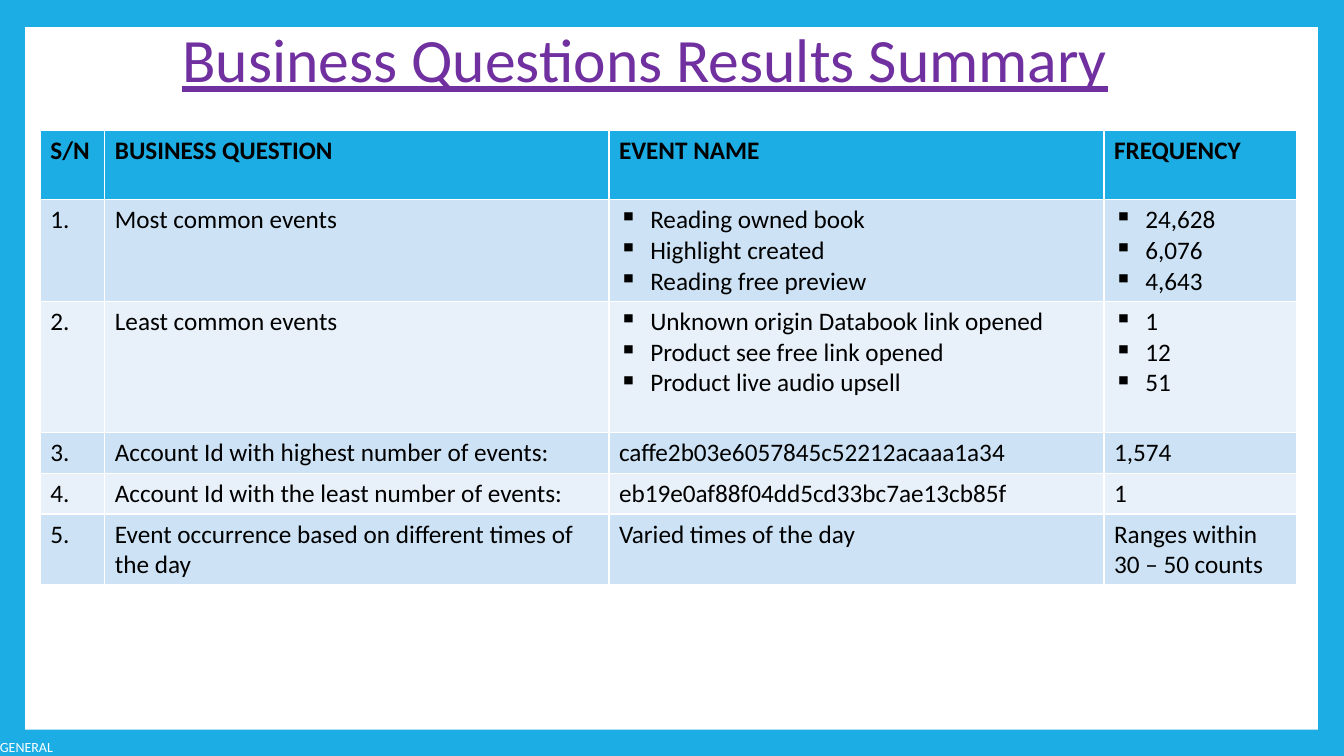
"""Build the business questions results summary slide."""
import pptx
import pptx.dml.color
import pptx.enum.text
import pptx.oxml.ns
import pptx.util
from lxml import etree

Inches, Pt = pptx.util.Inches, pptx.util.Pt
RGBColor = pptx.dml.color.RGBColor

BLUE = RGBColor(0x1C, 0xAD, 0xE4)
BAND_DARK = RGBColor(0xCD, 0xE3, 0xF5)
BAND_LIGHT = RGBColor(0xE8, 0xF1, 0xFA)
PURPLE = RGBColor(0x70, 0x30, 0xA0)
WHITE = RGBColor(0xFF, 0xFF, 0xFF)
BLACK = RGBColor(0, 0, 0)

COLUMN_WIDTHS = [0.64, 5, 4.91, 1.91]
ROW_HEIGHTS = [0.69, 1.01, 1.3, 0.41, 0.4, 0.7]
ROWS = [
    ["S/N", "BUSINESS QUESTION", "EVENT NAME", "FREQUENCY"],
    ["1.", "Most common events",
     ["Reading owned book", "Highlight created", "Reading free preview"],
     ["24,628", "6,076", "4,643"]],
    ["2.", "Least common events",
     ["Unknown origin Databook link opened", "Product see free link opened",
      "Product live audio upsell"],
     ["1", "12", "51"]],
    ["3.", "Account Id with highest number of events:",
     "caffe2b03e6057845c52212acaaa1a34", "1,574"],
    ["4.", "Account Id with the least number of events:",
     "eb19e0af88f04dd5cd33bc7ae13cb85f", "1"],
    ["5.", "Event occurrence based on different times of the day",
     "Varied times of the day", "Ranges within 30 – 50 counts"],
]


def add_run(p, text, size, color, bold=False, underline=False):
    """Add a formatted run to a paragraph."""
    r = p.add_run()
    r.text = text
    r.font.name = "Calibri"
    r.font.size = Pt(size)
    r.font.color.rgb = color
    r.font.bold = bold
    r.font.underline = underline


def set_bullet(p):
    """Give a paragraph a square bullet with a hanging indent."""
    pPr = p._p.get_or_add_pPr()
    pPr.set("marL", str(Inches(0.31)))
    pPr.set("indent", str(-Inches(0.31)))
    bullet = etree.SubElement(pPr, pptx.oxml.ns.qn("a:buChar"))
    bullet.set("char", "▪")


def add_panel(s):
    """Add the white panel inside the blue frame."""
    sp = s.shapes.add_shape(pptx.enum.shapes.MSO_SHAPE.RECTANGLE, Inches(0.25),
                            Inches(0.27), Inches(12.82), Inches(6.97))
    sp.shadow.inherit = False
    sp.fill.solid()
    sp.fill.fore_color.rgb = WHITE
    sp.line.fill.background()


def add_label(s, text):
    """Add the classification label in the bottom left corner."""
    sp = s.shapes.add_textbox(0, Inches(7.33), Inches(0.56), Inches(0.17))
    tf = sp.text_frame
    tf.margin_left = tf.margin_top = tf.margin_right = tf.margin_bottom = 0
    tf.word_wrap = False
    add_run(tf.paragraphs[0], text, 10, WHITE)


def set_title(s, text):
    """Place and format the title placeholder."""
    sp = s.shapes.title
    sp.left, sp.top = Inches(1.71), Inches(0.27)
    sp.width, sp.height = Inches(10.8), Inches(0.7)
    tf = sp.text_frame
    tf.auto_size = pptx.enum.text.MSO_AUTO_SIZE.NONE
    tf.vertical_anchor = pptx.enum.text.MSO_ANCHOR.MIDDLE
    p = tf.paragraphs[0]
    p.alignment = pptx.enum.text.PP_ALIGN.LEFT
    p.line_spacing = 0.9
    add_run(p, text, 44, PURPLE, underline=True)


def fill_cell(cell, content, color, bold):
    """Fill a cell with plain text or with a bulleted list."""
    cell.fill.solid()
    cell.fill.fore_color.rgb = color
    bulleted = isinstance(content, list)
    tf = cell.text_frame
    for i, line in enumerate(content if bulleted else [content]):
        p = tf.add_paragraph() if i else tf.paragraphs[0]
        if bulleted:
            set_bullet(p)
        add_run(p, line, 18, BLACK, bold)


def add_results_table(s):
    """Add the table of questions, events and frequencies."""
    table = s.shapes.add_table(
        len(ROWS), len(COLUMN_WIDTHS), Inches(0.4), Inches(1.29),
        Inches(sum(COLUMN_WIDTHS)), Inches(sum(ROW_HEIGHTS))).table
    for column, width in zip(table.columns, COLUMN_WIDTHS):
        column.width = Inches(width)
    for i, (height, contents) in enumerate(zip(ROW_HEIGHTS, ROWS)):
        table.rows[i].height = Inches(height)
        band = BAND_DARK if i % 2 else BAND_LIGHT
        for j, content in enumerate(contents):
            fill_cell(table.cell(i, j), content, band if i else BLUE, i == 0)


def main():
    """Build and save the slide."""
    prs = pptx.Presentation()
    prs.slide_width, prs.slide_height = Inches(13.33), Inches(7.5)
    s = prs.slides.add_slide(prs.slide_layouts[5])
    s.background.fill.solid()
    s.background.fill.fore_color.rgb = BLUE
    add_panel(s)
    s.shapes._spTree.append(s.shapes.title._element)
    add_label(s, "GENERAL")
    set_title(s, "Business Questions Results Summary")
    add_results_table(s)
    prs.save("out.pptx")


if __name__ == "__main__":
    main()
